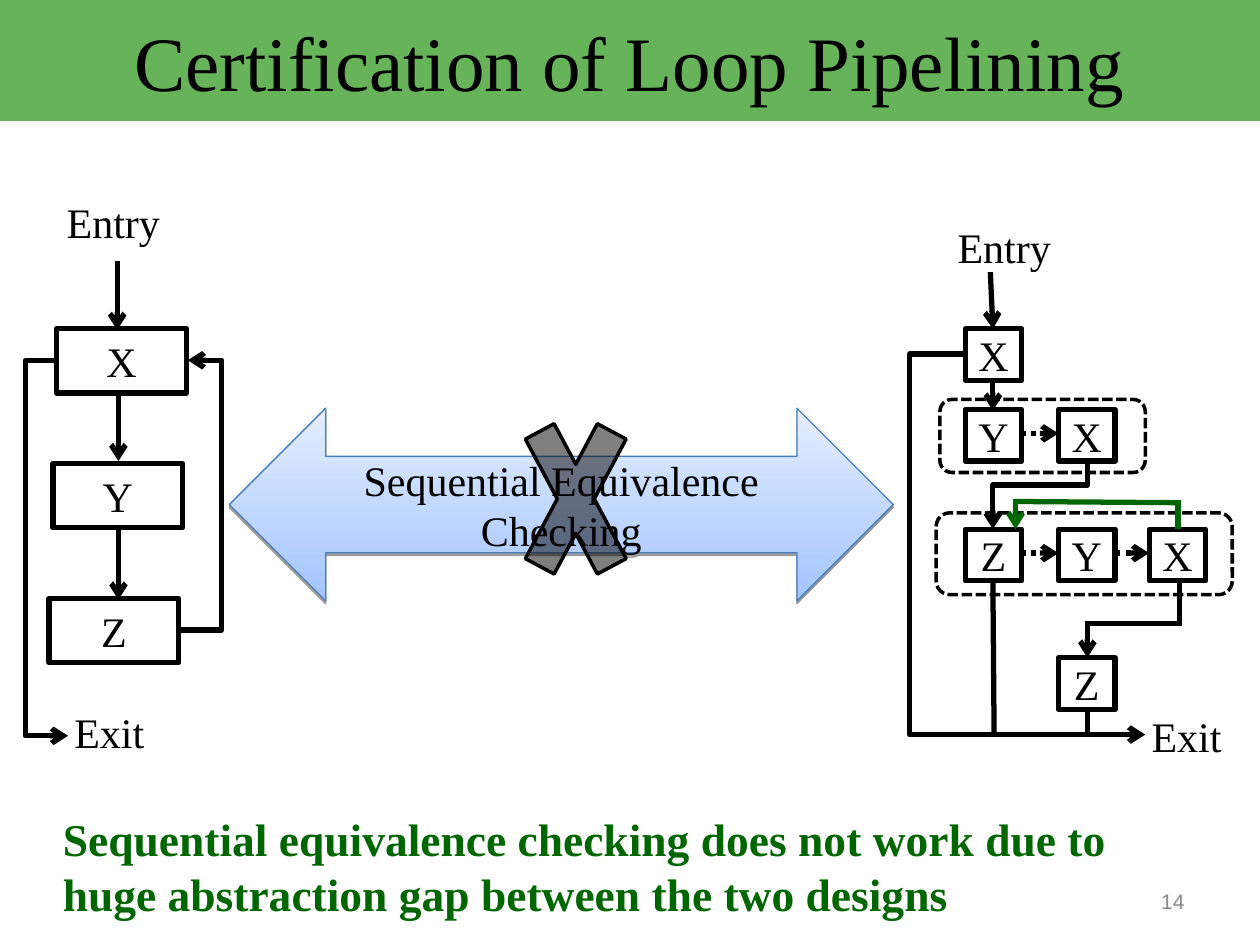
import pptx
import pptx.util
import pptx.dml.color
import pptx.oxml
import pptx.oxml.ns
import pptx.enum.dml
import pptx.enum.shapes
import pptx.enum.text
from lxml import etree

SHAPE = pptx.enum.shapes.MSO_SHAPE
CONNECTOR = pptx.enum.shapes.MSO_CONNECTOR
ALIGN = pptx.enum.text.PP_ALIGN
ANCHOR = pptx.enum.text.MSO_ANCHOR
DASH = pptx.enum.dml.MSO_LINE
Inches = pptx.util.Inches
qn = pptx.oxml.ns.qn

BLACK, GREEN, BANNER, GREY = "000000", "006600", "66B359", "898989"
SERIF, SANS = "Times New Roman", "Arial"
TIGHT, ROOMY = (0.05, 0.02), (0.1, 0.05)

title = "Certification of Loop Pipelining"
conclusion = ("Sequential equivalence checking does not work due to "
              "huge abstraction gap between the two designs")
check = "Sequential Equivalence Checking"
page_number = "14"

labels = [
    ("Entry", 0.48, 1.54, 0.96), ("Exit", 0.54, 5.59, 1.62),
    ("Entry", 7.55, 1.74, 1.0), ("Exit", 9.09, 5.62, 0.7),
]
LOOP_SIZE, STAGE_SIZE = (1.03, 0.51), (0.45, 0.41)
loop_blocks = [("X", 0.45, 2.61), ("Y", 0.42, 3.68), ("Z", 0.39, 4.75)]
stage_columns = (7.66, 8.4, 9.12)
stage_rows = [
    (2.61, ("X", "", "")),
    (3.25, ("Y", "X", "")),
    (4.2, ("Z", "Y", "X")),
    (5.22, ("", "Z", "")),
]
parallel_groups = [(7.46, 3.17, 1.63, 0.58), (7.43, 4.07, 2.35, 0.65)]

control_arrows = [
    ((0.93, 2.07), (0.93, 2.62)), ((0.94, 3.1), (0.94, 3.66)),
    ((0.94, 4.2), (0.94, 4.76)), ((7.86, 2.16), (7.88, 2.61)),
    ((7.88, 3.01), (7.88, 3.26)), ((8.63, 4.95), (8.63, 5.22)),
]
parallel_arrows = [
    ((8.1, 3.44), (8.4, 3.44)), ((8.1, 4.39), (8.4, 4.39)),
    ((8.85, 4.39), (9.12, 4.39)),
]
exit_lines = [
    ((7.88, 4.6), (7.89, 5.83)), ((8.63, 5.63), (8.63, 5.82)),
    ((8.61, 4.95), (9.38, 4.95)), ((9.36, 4.6), (9.36, 4.95)),
]
back_edge_lines = [((8.04, 3.98), (9.37, 3.99)), ((9.35, 3.97), (9.35, 4.2))]
back_edge_arrow = ((8.06, 3.97), (8.06, 4.2))
side_routes = [
    ((1.42, 5.0), (1.49, 2.86), 1.76),
    ((0.45, 2.86), (0.54, 5.84), 0.2),
    ((7.66, 2.81), (9.09, 5.83), 7.22),
]
stage_route = ((8.63, 3.66), (7.88, 4.2), 3.85)

deck = pptx.Presentation()
deck.slide_width, deck.slide_height = Inches(10), Inches(7.5)
slide = deck.slides.add_slide(deck.slide_layouts[6])


def rgb(value):
    return pptx.dml.color.RGBColor.from_string(value)


def write(shape, text, size=24, font=SERIF, color=BLACK, bold=False,
          align=ALIGN.CENTER, anchor=ANCHOR.MIDDLE, inset=TIGHT):
    frame = shape.text_frame
    frame.word_wrap = True
    frame.vertical_anchor = anchor
    frame.margin_left = frame.margin_right = Inches(inset[0])
    frame.margin_top = frame.margin_bottom = Inches(inset[1])
    frame.text = text
    paragraph = frame.paragraphs[0]
    paragraph.alignment = align
    style = paragraph.runs[0].font
    style.size, style.name, style.bold = pptx.util.Pt(size), font, bold
    style.color.rgb = rgb(color)


def textbox(text, x, y, w, h, **style):
    write(slide.shapes.add_textbox(*map(Inches, (x, y, w, h))), text, **style)


def outline(item, color=BLACK, width=3, dash=None):
    item.line.color.rgb = rgb(color)
    item.line.width = pptx.util.Pt(width)
    if dash:
        item.line.dash_style = dash


def add_shape(kind, x, y, w, h):
    shape = slide.shapes.add_shape(kind, *map(Inches, (x, y, w, h)))
    shape.shadow.inherit = False
    shape.fill.background()
    return shape


def block(text, x, y, size):
    shape = add_shape(SHAPE.RECTANGLE, x, y, *size)
    outline(shape)
    write(shape, text)


def connect(start, end, kind=CONNECTOR.STRAIGHT, arrow=True, **stroke):
    link = slide.shapes.add_connector(kind, *map(Inches, (*start, *end)))
    outline(link, **stroke)
    properties = link.element.spPr
    etree.SubElement(properties, qn("a:effectLst"))
    if arrow:
        etree.SubElement(properties.find(qn("a:ln")), qn("a:tailEnd"), type="arrow")
    return link


def set_bend(link, share):
    guides = link.element.spPr.find(qn("a:prstGeom")).get_or_add_avLst()
    etree.SubElement(guides, qn("a:gd"), name="adj1",
                     fmla=f"val {round(share * 100000)}")


def route_sideways(start, end, bend_x):
    link = connect(start, end, CONNECTOR.ELBOW)
    set_bend(link, (bend_x - start[0]) / (end[0] - start[0]))


def route_down_left(start, end, bend_y):
    middle_x, middle_y = (start[0] + end[0]) / 2, (start[1] + end[1]) / 2
    half_run, half_drop = (start[0] - end[0]) / 2, (end[1] - start[1]) / 2
    link = connect((middle_x - half_drop, middle_y - half_run),
                   (middle_x + half_drop, middle_y + half_run), CONNECTOR.ELBOW)
    link.element.spPr.find(qn("a:xfrm")).set("rot", "5400000")
    set_bend(link, (bend_y - start[1]) / (end[1] - start[1]))


banner = add_shape(SHAPE.RECTANGLE, 0, 0, 10, 0.96)
banner.fill.solid()
banner.fill.fore_color.rgb = rgb(BANNER)
banner.line.fill.background()
write(banner, title, size=44, inset=ROOMY)

for text, x, y, w in labels:
    textbox(text, x, y, w, 0.45, align=ALIGN.LEFT, anchor=ANCHOR.TOP)
for text, x, y in loop_blocks:
    block(text, x, y, LOOP_SIZE)
for y, row in stage_rows:
    for x, text in zip(stage_columns, row):
        if text:
            block(text, x, y, STAGE_SIZE)
for area in parallel_groups:
    outline(add_shape(SHAPE.ROUNDED_RECTANGLE, *area), width=2, dash=DASH.SQUARE_DOT)

for ends in control_arrows:
    connect(*ends)
for ends in parallel_arrows:
    connect(*ends, dash=DASH.ROUND_DOT)
for ends in exit_lines:
    connect(*ends, arrow=False)
connect(*back_edge_arrow, color=GREEN)
for ends in back_edge_lines:
    connect(*ends, arrow=False, color=GREEN)
for route in side_routes:
    route_sideways(*route)
route_down_left(*stage_route)

textbox(conclusion, 0.4, 6.39, 9.15, 0.97, size=26, color=GREEN, bold=True,
        align=ALIGN.LEFT, anchor=ANCHOR.TOP, inset=ROOMY)

equivalence = add_shape(SHAPE.LEFT_RIGHT_ARROW, 1.82, 3.24, 5.27, 1.53)
equivalence.fill.gradient()
equivalence.fill.gradient_angle = 90
for stop, color, position in zip(equivalence.fill.gradient_stops,
                                 ("A3C4FF", "E5EEFF"), (0, 1)):
    stop.color.rgb, stop.position = rgb(color), position
outline(equivalence, "4A7EBB", 0.75)
effects = equivalence.element.spPr.find(qn("a:effectLst"))
shadow = etree.SubElement(effects, qn("a:outerShdw"), blurRad="0",
                          dist=str(pptx.util.Pt(1.6)), dir="5400000", rotWithShape="0")
shade = etree.SubElement(shadow, qn("a:srgbClr"), val=BLACK)
etree.SubElement(shade, qn("a:alpha"), val="38000")
write(equivalence, check, inset=ROOMY)

cross = add_shape(SHAPE.MATH_MULTIPLY, 4.02, 2.93, 1.1, 2.06)
cross.fill.solid()
cross.fill.fore_color.rgb = rgb(BLACK)
tint = cross.element.spPr.find(qn("a:solidFill")).find(qn("a:srgbClr"))
etree.SubElement(tint, qn("a:alpha"), val="50000")
outline(cross, width=2)

textbox(page_number, 7.17, 6.95, 2.33, 0.4, size=12, font=SANS, color=GREY,
        align=ALIGN.RIGHT, inset=ROOMY)

deck.save("out.pptx")
